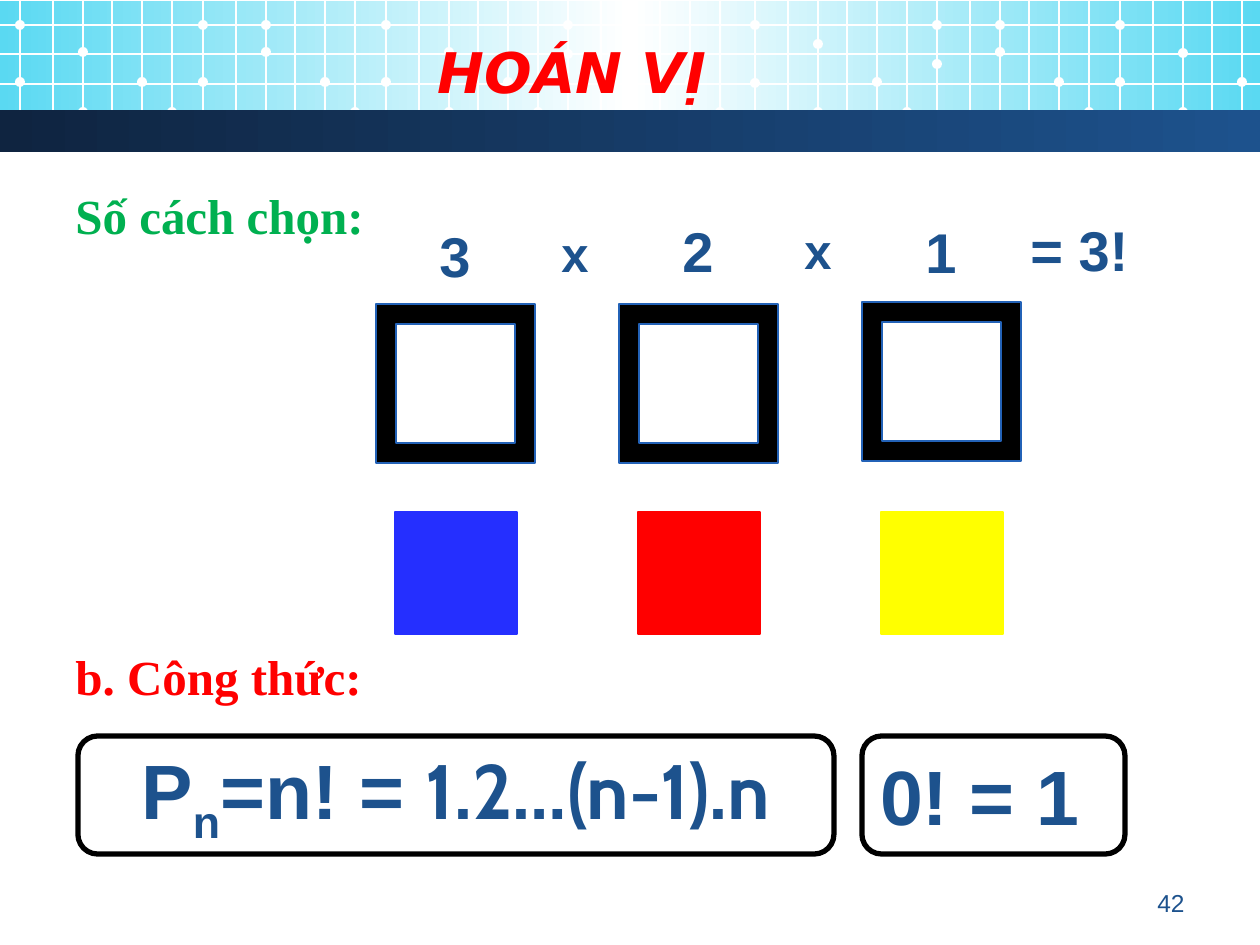
from lxml import etree
from pptx import Presentation
from pptx import util as u
from pptx.dml.color import RGBColor
from pptx.enum import shapes, text
from pptx.oxml.ns import qn

EMU_PER_PX = 914400 / 126
NAVY, RED, WHITE, BLACK = "1D528D", "FF0000", "FFFFFF", "000000"


def px(length):
    return u.Emu(round(length * EMU_PER_PX))


def rgb(value):
    return RGBColor.from_string(value)


def add_box(slide, kind, box, fill=None, line=None, line_width=1):
    shape = slide.shapes.add_shape(kind, *map(px, box))
    shape.shadow.inherit = False
    if fill:
        shape.fill.solid()
        shape.fill.fore_color.rgb = rgb(fill)
    if line:
        shape.line.color.rgb = rgb(line)
        shape.line.width = u.Pt(line_width)
    else:
        shape.line.fill.background()
    return shape


def add_gradient_bar(slide, box, colours):
    """Fill a rectangle from left to right with evenly spaced colours."""
    shape = add_box(slide, shapes.MSO_SHAPE.RECTANGLE, box)
    shape.fill.gradient()
    shape.fill.gradient_angle = 0
    stops = shape._element.spPr.find(qn("a:gradFill")).find(qn("a:gsLst"))
    for stop in list(stops):
        stops.remove(stop)
    for index, colour in enumerate(colours):
        position = str(index * 100000 // (len(colours) - 1))
        stop = etree.SubElement(stops, qn("a:gs"), pos=position)
        etree.SubElement(stop, qn("a:srgbClr"), val=colour)


def add_grid_line(slide, start, end):
    line = slide.shapes.add_connector(
        shapes.MSO_CONNECTOR.STRAIGHT, *map(px, start + end))
    line.line.color.rgb = rgb(WHITE)
    line.line.width = u.Pt(0.75)
    etree.SubElement(line._element.spPr, qn("a:effectLst"))


def format_run(run, size, colour=NAVY, font="Arial", bold=True):
    run.font.size = u.Pt(size)
    run.font.name = font
    run.font.bold = bold
    run.font.color.rgb = rgb(colour)


def add_label(slide, box, words, size, colour=NAVY, font="Arial", bold=True,
              align=text.PP_ALIGN.LEFT):
    frame = slide.shapes.add_textbox(*map(px, box)).text_frame
    frame.word_wrap = True
    paragraph = frame.paragraphs[0]
    paragraph.text = words
    paragraph.alignment = align
    format_run(paragraph.runs[0], size, colour, font, bold)


def add_banner(slide, left, top, width):
    add_gradient_bar(slide, (left, top + 1, width, 129), ("5AD9F2", WHITE, "5AD9F2"))
    cell_lefts = (20, 203, 386, 568, 755, 937, 1120)
    line_offsets = (0, 33, 63, 92, 122, 152)
    for x in [cell + offset for cell in cell_lefts for offset in line_offsets]:
        if x < width:
            add_grid_line(slide, (left + x, top), (left + x, top + 139))
    for y in (25, 54, 84, 112):
        add_grid_line(slide, (left, top + y), (left + width, top + y))

    first_and_third_dots = ((82, 52), (82, 52), (82, 52), (54, 53),
                            (83, 44), (64, 52), (82, 53))
    for index, (cell, (first, third)) in enumerate(zip(cell_lefts, first_and_third_dots)):
        fourth = 25 if index % 2 else 112
        dots = ((0, 25), (0, first), (63, third), (63, fourth), (122, 82), (152, 112))
        for offset, y in dots:
            x = cell + offset
            if x < width:
                add_box(slide, shapes.MSO_SHAPE.OVAL,
                        (left + x - 5, top + y - 5, 10, 10), WHITE)
    add_gradient_bar(slide, (left, top + 110, width, 42), ("0F2440", NAVY))


def place_title(slide, box, words):
    title = slide.shapes.title
    title.left, title.top, title.width, title.height = map(px, box)
    frame = title.text_frame
    frame.text = words
    frame.vertical_anchor = text.MSO_ANCHOR.MIDDLE
    paragraph = frame.paragraphs[0]
    paragraph.alignment = text.PP_ALIGN.CENTER
    format_run(paragraph.runs[0], 32, RED, "DejaVu Sans")
    paragraph.runs[0].font.italic = True
    slide.shapes._spTree.append(title._element)  # in front of the banner


def add_choices(slide, left, top):
    """Place the three slots, their counts above and the coloured squares below."""
    pitch = 243
    columns = (("3", "252FFF", 36, 125), ("2", RED, 31, 125), ("1", "FFFF00", 32, 123))
    for index, (count, colour, count_top, slot_top) in enumerate(columns):
        x = left + index * pitch
        add_label(slide, (x + 51, top + count_top, 58, 81), count, 32)
        add_box(slide, shapes.MSO_SHAPE.FRAME, (x, top + slot_top, 159, 159),
                BLACK, "2362B7")
        add_box(slide, shapes.MSO_SHAPE.RECTANGLE, (x + 19, top + 333, 122, 122),
                colour, colour)
    for index, sign_top in enumerate((38, 35)):
        add_label(slide, (left + 173 + index * pitch, top + sign_top, 48, 72), "x", 28)
    add_label(slide, (left + 642, top + 30, 186, 81), "= 3!", 32)


def add_formula(slide, box, parts, align):
    """Each part is its words, font and baseline shift in thousandths."""
    shape = add_box(slide, shapes.MSO_SHAPE.ROUNDED_RECTANGLE, box, WHITE, BLACK, 3)
    frame = shape.text_frame
    frame.vertical_anchor = text.MSO_ANCHOR.MIDDLE
    paragraph = frame.paragraphs[0]
    paragraph.alignment = align
    for words, font, baseline in parts:
        run = paragraph.add_run()
        run.text = words
        format_run(run, 44, font=font)
        if baseline:
            run._r.get_or_add_rPr().set("baseline", str(baseline))


def add_formulas(slide, left, top):
    add_label(slide, (left, top, 383, 72), "b. Công thức:", 28, RED, "Times New Roman")
    permutation = (("P", "Arial", 0), ("n", "Arial", -25000),
                   ("=n! = ", "Arial", 0), ("1.2…(n-1).n", "Cabin", 0))
    add_formula(slide, (left + 15, top + 96, 756, 118), permutation,
                text.PP_ALIGN.CENTER)
    add_formula(slide, (left + 799, top + 96, 263, 118), (("0! = 1", "Arial", 0),),
                text.PP_ALIGN.LEFT)


def main():
    presentation = Presentation()
    presentation.slide_width, presentation.slide_height = px(1260), px(945)
    slide = presentation.slides.add_slide(presentation.slide_layouts[5])
    add_banner(slide, 0, 0, 1260)
    place_title(slide, (63, 32, 1018, 78), "HOÁN VỊ")
    add_label(slide, (63, 179, 362, 72), "Số cách chọn:", 28, "00B050",
              "Times New Roman")
    add_choices(slide, 376, 179)
    add_formulas(slide, 63, 640)
    add_label(slide, (903, 882, 294, 44), "42", 14, bold=False,
              align=text.PP_ALIGN.RIGHT)
    presentation.save("out.pptx")


if __name__ == "__main__":
    main()
